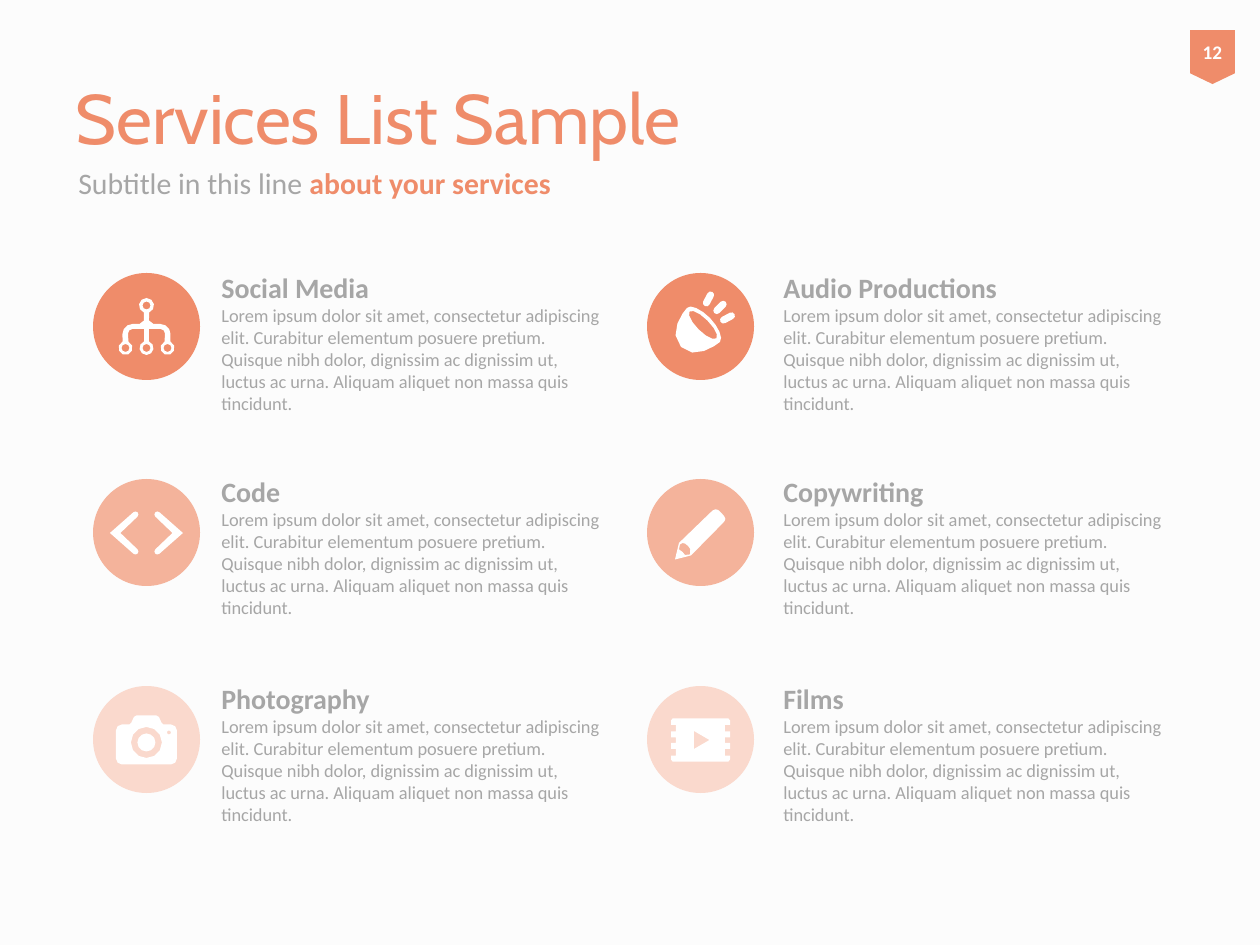
from dataclasses import dataclass
from math import cos, radians, sin

from pptx import Presentation
from pptx.dml.color import RGBColor as RGB
from pptx.enum.shapes import MSO_SHAPE as Shape
from pptx.enum.text import MSO_ANCHOR as Anchor, MSO_AUTO_SIZE as Auto, PP_ALIGN as Align
from pptx.util import Emu, Pt


@dataclass(frozen=True)
class Theme:
    back: str = "FCFCFC"
    main: str = "EF8C6A"
    gray: str = "A6A6A6"
    white: str = "FFFFFF"
    tints: tuple = ("EF8C6A", "F4B39B", "FAD9CD")
    head: str = "Cabin"
    body: str = "Calibri"
    title: float = 40
    sub: float = 17
    name: float = 16
    text: float = 10.5
    page: float = 11


T = Theme()
SCALE = 914400 / 126
DISC = 107
LOREM = ("Lorem ipsum dolor sit amet, consectetur adipiscing elit. "
         "Curabitur elementum posuere pretium. Quisque nibh dolor, "
         "dignissim ac dignissim ut, luctus ac urna. "
         "Aliquam aliquet non massa quis tincidunt.")


def px(n):
    return Emu(round(n * SCALE))


# Outlines, in px from the centre of the disc
def arc(x, y, r, start=0, end=360, flat=1, tilt=0):
    """Points on an arc; flat squeezes it across the tilted axis."""
    c, s = cos(radians(tilt)), sin(radians(tilt))
    steps = max(2, round(abs(end - start) / (45 if r < 8 else 30)))
    count = steps if end - start == 360 else steps + 1
    pts = []
    for i in range(count):
        a = radians(start + (end - start) * i / steps)
        u, v = r * cos(a), r * flat * sin(a)
        pts.append((x + u * c - v * s, y + u * s + v * c))
    return pts


def curve(a, b, c, d, steps=4):
    """Points on a cubic curve, without its last one."""
    pts = []
    for i in range(steps):
        t = i / steps
        k = ((1 - t) ** 3, 3 * t * (1 - t) ** 2, 3 * t * t * (1 - t), t ** 3)
        pts.append(tuple(sum(w * p[n] for w, p in zip(k, (a, b, c, d)))
                         for n in (0, 1)))
    return pts


def flip(pts):
    return [(-x, y) for x, y in reversed(pts)]


def ray(x, y, deg):
    u, v = 4.5 * cos(radians(deg)), 4.5 * sin(radians(deg))
    return (arc(x + u, y + v, 3.5, deg - 90, deg + 90)
            + arc(x - u, y - v, 3.5, deg + 90, deg + 270))


def tree():
    half = (arc(0, -21, 7.5, -90, 70) + [(2.5, -6), (7, -2.5)]
            + arc(14, 7.5, 10, -90, 0) + arc(21, 21.5, 7, -65, 245)
            + arc(14, 7, 4.5, 0, -90) + [(2.5, 2.5)]
            + arc(0, 21.5, 7, -70, 90))
    nodes = ((0, -21), (-21, 21.5), (0, 21.5), (21, 21.5))
    return [half + flip(half)] + [arc(x, y, 4) for x, y in nodes]


def code():
    left = ([(-36.5, 0.5)] + arc(-11, -18, 3, -132, 48)
            + [(-26, 0.5)] + arc(-11, 19, 3, -48, 132))
    return [left, flip(left)]


def camera():
    half = ([(10, -24), (12.5, -22.5), (15, -17), (17, -15)]
            + arc(24.5, -9, 6, -90, 0) + arc(24.5, 19, 6, 0, 90))
    return [half + flip(half), arc(0, 3, 15.5), arc(0, 3, 9), arc(22.5, -7, 2)]


def horn():
    bell = (curve((-13.5, -18.5), (-17, -15), (-33.5, 6.5), (-19.5, 20.5))
            + curve((-19.5, 20.5), (-6, 34.5), (15.5, 19), (19.5, 15.5))
            + curve((19.5, 15.5), (23, 11.5), (18, 0.5), (9.5, -8.5))
            + curve((9.5, -8.5), (0.5, -17.5), (-10.5, -22.5), (-13.5, -18.5)))
    return [bell, arc(2.5, -1.5, 19, flat=0.33, tilt=45),
            ray(8, -27.5, -62), ray(19.5, -19, -45), ray(27, -8.5, -28)]


def pencil():
    body = (curve((9, -19), (14, -24), (16, -25), (21, -19.5))
            + curve((21, -19.5), (26, -14), (26, -13), (22, -9))
            + [(22, -9), (-9.5, 23), (-25.5, 27), (-21.5, 10.5)])
    wood = ([(-10.5, 22), (-15.5, 22.5), (-18, 19.5), (-21.5, 17), (-20.5, 12)]
            + curve((-18, 10.5), (-15, 10), (-9, 16), (-9.5, 19.5)))
    return [body, wood]


def film():
    side = [(28, -21), (29.5, -19)]
    for top, low in ((-14.5, -8), (-2, 3.5), (9.5, 16)):
        side += [(29.5, top), (24.5, top), (24.5, low), (29.5, low)]
    side += [(29.5, 20), (28, 22)]
    return [side + flip(side), [(-6.5, -8.5), (9, 0.5), (-6.5, 9.5)]]


# Elements
def paint(shape, color):
    shape.shadow.inherit = False
    shape.fill.solid()
    shape.fill.fore_color.rgb = RGB.from_string(color)
    shape.line.fill.background()


def style(font, size, color, bold=False, face=T.body):
    font.name, font.size, font.bold = face, Pt(size), bold
    font.color.rgb = RGB.from_string(color)


def box(slide, x, y, w, h, anchor=Anchor.TOP):
    frame = slide.shapes.add_textbox(px(x), px(y), px(w), px(h)).text_frame
    frame.word_wrap = True
    frame.vertical_anchor = anchor
    return frame.paragraphs[0]


def add_run(para, text, *look):
    run = para.add_run()
    run.text = text
    style(run.font, *look)


def add_icon(slide, x, y, color, loops):
    group = slide.shapes.add_group_shape().shapes
    paint(group.add_shape(Shape.OVAL, px(x), px(y), px(DISC), px(DISC)), color)
    mid = DISC / 2
    loops = [[(px(x + mid + u), px(y + mid + v)) for u, v in loop] for loop in loops]
    pen = group.build_freeform(*loops[0][0])
    for n, loop in enumerate(loops):
        if n:
            pen.move_to(*loop[0])
        pen.add_line_segments(loop[1:], close=True)
    paint(pen.convert_to_shape(), T.white)


def add_item(slide, x, y, name):
    para = box(slide, x, y, 407, 164)
    add_run(para, name, T.name, T.gray, True)
    para.add_line_break()
    add_run(para, LOREM, T.text, T.gray)


def add_title(slide):
    title = slide.shapes.title
    title.left, title.top, title.width, title.height = map(px, (63, 68, 1134, 98))
    frame = title.text_frame
    frame.text = "Services List Sample"
    frame.auto_size = Auto.NONE
    frame.vertical_anchor = Anchor.MIDDLE
    para = frame.paragraphs[0]
    para.alignment = Align.LEFT
    style(para.font, T.title, T.main, face=T.head)
    sub = box(slide, 66, 149, 1134, 67, Anchor.MIDDLE)
    add_run(sub, "Subtitle in this line ", T.sub, T.gray)
    add_run(sub, "about your services", T.sub, T.main, True)


def add_badge(slide):
    badge = slide.shapes.add_shape(Shape.FLOWCHART_OFFPAGE_CONNECTOR,
                                   px(1190), px(30), px(45), px(54))
    paint(badge, T.main)
    frame = badge.text_frame
    frame.margin_left = frame.margin_right = 0
    frame.vertical_anchor = Anchor.MIDDLE
    frame.text = "12"
    para = frame.paragraphs[0]
    para.alignment = Align.CENTER
    style(para.font, T.page, T.white, True)


def main():
    deck = Presentation()
    deck.slide_width, deck.slide_height = px(1260), px(945)
    slide = deck.slides.add_slide(deck.slide_layouts[5])
    slide.background.fill.solid()
    slide.background.fill.fore_color.rgb = RGB.from_string(T.back)
    add_title(slide)

    # Services: two columns of three, each with its disc and text offsets
    cols = (((93, 209), (("Social Media", tree), ("Code", code), ("Photography", camera))),
            ((647, 771), (("Audio Productions", horn), ("Copywriting", pencil), ("Films", film))))
    rows = ((273, 264), (479, 468), (686, 675))
    for (disc, left), items in cols:
        for (name, icon), (y, top), tint in zip(items, rows, T.tints):
            add_icon(slide, disc, y, tint, icon())
            add_item(slide, left, top, name)

    add_badge(slide)
    deck.save("out.pptx")


if __name__ == "__main__":
    main()
